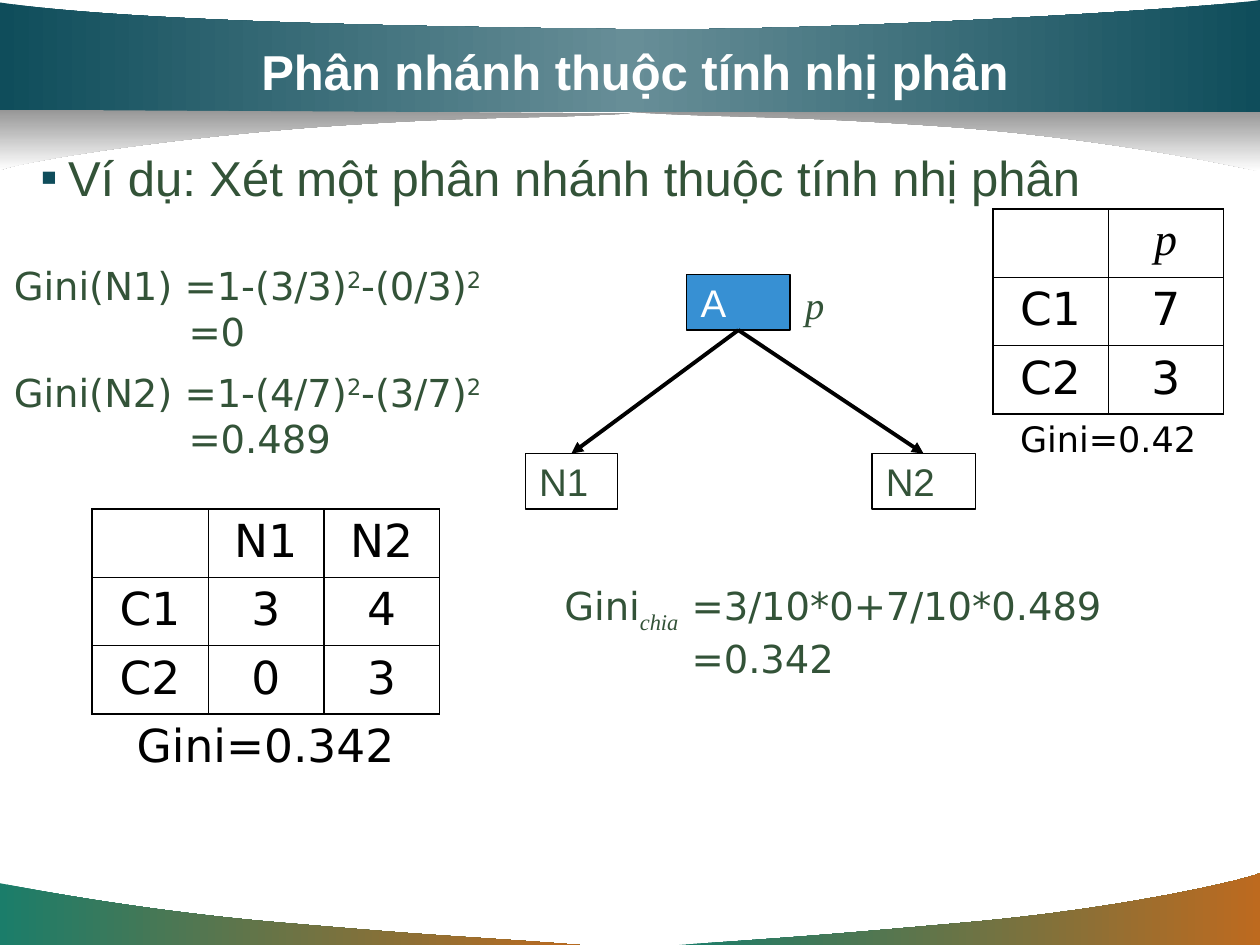
"""Build the slide on splitting a binary attribute with the Gini index."""
from copy import deepcopy

from lxml import etree
from pptx import Presentation
from pptx import util as u
from pptx.dml.color import RGBColor
from pptx.enum import shapes, text
from pptx.oxml import ns

COLOURS = {
    "ink": "335338", "black": "000000", "white": "FFFFFF", "blue": "3790D3",
    "teal": "0F4D5B", "haze": "678E97", "grey": "969696",
    "green": "1B7D6A", "orange": "BD6A1F",
}
RGB = {name: RGBColor.from_string(value) for name, value in COLOURS.items()}
SANS, MATH, PLAIN = "DejaVu Sans", "Times New Roman", "Arial"


def add_child(parent, tag, **attributes):
    return etree.SubElement(parent, ns.qn(tag), attributes)


def write(frame, lines, size, font=PLAIN, colour="ink", margins=(0.11, 0.05),
          tab=None, align=text.PP_ALIGN.LEFT, before=0, italic=False, bold=False):
    """Fill a frame; each line is a list of (words, baseline percent) pairs."""
    frame.word_wrap = True
    frame.margin_left = frame.margin_right = u.Inches(margins[0])
    frame.margin_top = frame.margin_bottom = u.Inches(margins[1])
    for index, line in enumerate(lines):
        paragraph = frame.add_paragraph() if index else frame.paragraphs[0]
        paragraph.alignment = align
        paragraph.space_before = u.Pt(before)
        paragraph.font.size, paragraph.font.name = u.Pt(size), font
        paragraph.font.color.rgb = RGB[colour]
        paragraph.font.italic, paragraph.font.bold = italic, bold
        if tab:
            tabs = etree.Element(ns.qn("a:tabLst"))
            add_child(tabs, "a:tab", pos=str(u.Inches(tab)), algn="l")
            paragraph._p.pPr.find(ns.qn("a:defRPr")).addprevious(tabs)
        for words, baseline in line:
            run = paragraph.add_run()
            run.text = words
            if baseline:
                run._r.get_or_add_rPr().set("baseline", str(baseline * 1000))
            if baseline < 0:
                run.font.name, run.font.italic = MATH, True


presentation = Presentation()
presentation.slide_width, presentation.slide_height = u.Inches(10), u.Inches(7.5)
slide = presentation.slides.add_slide(presentation.slide_layouts[6])

waves = [
    ([(4.6, 7.5), (3.84, 7.44, 3.58, 7.44, 2.32, 7.33),
      (1.06, 7.23, 0.01, 7.01, 0, 7.01), (0, 7.5)], ["green", "orange"], 0),
    ([(5.39, 7.5), (6.14, 7.45, 6.46, 7.43, 7.69, 7.32),
      (8.92, 7.21, 9.9, 6.98, 10, 6.93), (10, 7.5)], ["green", "orange"], 0),
    ([(5, 0.89), (5.84, 0.94, 6.2, 0.91, 7.58, 1.01),
      (8.97, 1.12, 9.98, 1.36, 10, 1.36), (10, 0.88)], ["grey", "white"], 270),
    ([(0, 0.89), (10, 0.89), (10, 0), (9.64, 0.06, 6.53, 0.26, 4.87, 0.23),
      (3.21, 0.21, 1.01, 0.17, 0, 0.02)], ["teal", "haze", "teal"], 0),
    ([(5, 0.9), (4.16, 0.95, 3.88, 0.91, 2.49, 1.01),
      (1.1, 1.12, 0.11, 1.3, 0, 1.35), (0, 0.87)], ["grey", "white"], 270),
]
for segments, stop_colours, angle in waves:
    corners = [(u.Inches(segment[-2]), u.Inches(segment[-1])) for segment in segments]
    builder = slide.shapes.build_freeform(*corners[0])
    builder.add_line_segments(corners[1:], close=True)
    wave = builder.convert_to_shape()
    edges = wave._element.spPr.findall(".//" + ns.qn("a:lnTo"))
    for edge, segment in zip(edges, segments[1:]):
        if len(segment) == 6:
            curve = etree.Element(ns.qn("a:cubicBezTo"))
            for x, y in zip(segment[::2], segment[1::2]):
                add_child(curve, "a:pt", x=str(u.Inches(x) - wave.left),
                          y=str(u.Inches(y) - wave.top))
            edge.getparent().replace(edge, curve)
    wave.shadow.inherit = False
    wave.line.fill.background()
    wave.fill.gradient()
    wave.fill.gradient_angle = angle
    stop_list = wave._element.spPr.find(".//" + ns.qn("a:gsLst"))
    if len(stop_colours) == 3:
        stop_list.insert(1, deepcopy(stop_list[0]))
    for index, (stop, colour) in enumerate(zip(wave.fill.gradient_stops, stop_colours)):
        stop.position = index / (len(stop_colours) - 1)
        stop.color.rgb = RGB[colour]

title = slide.shapes.add_textbox(u.Inches(0.75), u.Inches(0.25), u.Inches(8.58), u.Inches(0.62))
title.text_frame.vertical_anchor = text.MSO_ANCHOR.MIDDLE
write(title.text_frame, [[("Phân nhánh thuộc tính nhị phân", 0)]], 28, colour="white",
      margins=(0.1, 0.05), align=text.PP_ALIGN.CENTER, bold=True)

body = slide.shapes.add_textbox(u.Inches(0.32), u.Inches(1.17), u.Inches(8.61), u.Inches(5.45))
write(body.text_frame, [[("Ví dụ: Xét một phân nhánh thuộc tính nhị phân", 0)]], 28,
      margins=(0, 0), before=7)
properties = body.text_frame.paragraphs[0]._p.pPr
properties.set("marL", str(u.Inches(0.22)))
properties.set("indent", str(-u.Inches(0.22)))
bullet_colour = etree.Element(ns.qn("a:buClr"))
add_child(bullet_colour, "a:srgbClr", val=COLOURS["teal"])
for element in (bullet_colour, etree.Element(ns.qn("a:buFont"), typeface=PLAIN),
                etree.Element(ns.qn("a:buChar"), char="▪")):
    properties.find(ns.qn("a:defRPr")).addprevious(element)

nodes = {}
for name, left, top, width, colour in [("N2", 6.92, 3.6, 0.82, "ink"),
                                       ("N1", 4.17, 3.6, 0.73, "ink"),
                                       ("A", 5.45, 2.18, 0.82, "white")]:
    node = slide.shapes.add_shape(shapes.MSO_SHAPE.RECTANGLE, u.Inches(left), u.Inches(top),
                                  u.Inches(width), u.Inches(0.44))
    node.shadow.inherit = False
    node.fill.background()
    node.line.color.rgb, node.line.width = RGB["black"], u.Pt(0.75)
    node.text_frame.vertical_anchor = text.MSO_ANCHOR.MIDDLE
    write(node.text_frame, [[(name, 0)]], 22, colour=colour)
    nodes[name] = node
nodes["A"].fill.solid()
nodes["A"].fill.fore_color.rgb = RGB["blue"]

for child in ("N1", "N2"):
    arrow = slide.shapes.add_connector(shapes.MSO_CONNECTOR.STRAIGHT, 0, 0, 0, 0)
    arrow.begin_connect(nodes["A"], 2)
    arrow.end_connect(nodes[child], 0)
    arrow.line.color.rgb, arrow.line.width = RGB["black"], u.Pt(2.25)
    add_child(arrow.line._get_or_add_ln(), "a:tailEnd", type="triangle")
    add_child(arrow._element.spPr, "a:effectLst")

label = slide.shapes.add_textbox(u.Inches(6.28), u.Inches(2.18), u.Inches(0.37), u.Inches(0.48))
write(label.text_frame, [[("p", 0)]], 22, font=MATH, italic=True)

THICK, THIN = 1.08, 0.45
ROW_HEIGHT = 2.17 / 4
tables = [
    (7.88, 1.66, 1.83, 2.11, [["", "p"], ["C1", "7"], ["C2", "3"]], "Gini=0.42", 20),
    (0.73, 4.04, 2.76, 2.17, [["", "N1", "N2"], ["C1", "3", "4"], ["C2", "0", "3"]],
     "Gini=0.342", 26),
]
for left, top, width, height, counts, caption, caption_size in tables:
    columns, last = len(counts[0]), len(counts)
    table = slide.shapes.add_table(last + 1, columns, u.Inches(left), u.Inches(top),
                                   u.Inches(width), u.Inches(height)).table
    table.first_row = table.horz_banding = False
    for row in table.rows:
        row.height = u.Inches(ROW_HEIGHT)
    table.rows[last].height = u.Inches(height - last * ROW_HEIGHT)
    table.cell(last, 0).merge(table.cell(last, columns - 1))
    for r, values in enumerate(counts + [[caption] + [""] * (columns - 1)]):
        for c, value in enumerate(values):
            cell = table.cell(r, c)
            cell.margin_left = cell.margin_right = u.Inches(0.11)
            cell.margin_top = cell.margin_bottom = u.Inches(0.05)
            size = caption_size if r == last else 26
            if value:
                write(cell.text_frame, [[(value, 0)]], size, MATH if value == "p" else SANS,
                      "black", align=text.PP_ALIGN.CENTER, before=size / 4, italic=value == "p")
            inside = r < last
            borders = {"L": inside and (THIN if c == 1 else THICK),
                       "R": inside and (THIN if c == 0 else THICK),
                       "T": THICK if r in (0, last) else THIN,
                       "B": inside and (THICK if r == last - 1 else THIN)}
            cell_properties = cell._tc.get_or_add_tcPr()
            for side, weight in borders.items():
                line = add_child(cell_properties, "a:ln" + side, w=str(u.Pt(weight or THIN)))
                if weight:
                    add_child(add_child(line, "a:solidFill"), "a:srgbClr", val=COLOURS["black"])
                else:
                    add_child(line, "a:noFill")
            cell.fill.background()

formulas = [
    (0, 2.03, 5.07, 0.84, 1.29, [[("Gini(N1) =1-(3/3)", 0), ("2", 30), ("-(0/3)", 0), ("2", 30)],
                                 [("\t =0", 0)]]),
    (0, 2.88, 4.9, 0.84, 1.29, [[("Gini(N2) =1-(4/7)", 0), ("2", 30), ("-(3/7)", 0), ("2", 30)],
                                [("\t =0.489", 0)]]),
    (4.37, 4.57, 5.2, 0.89, 1.01, [[("Gini", 0), ("chia \t", -25), ("=3/10*0+7/10*0.489", 0)],
                                   [("\t=0.342", 0)]]),
]
for left, top, width, height, tab, lines in formulas:
    formula = slide.shapes.add_textbox(u.Inches(left), u.Inches(top), u.Inches(width), u.Inches(height))
    write(formula.text_frame, lines, 22, font=SANS, tab=tab)

presentation.save("out.pptx")
